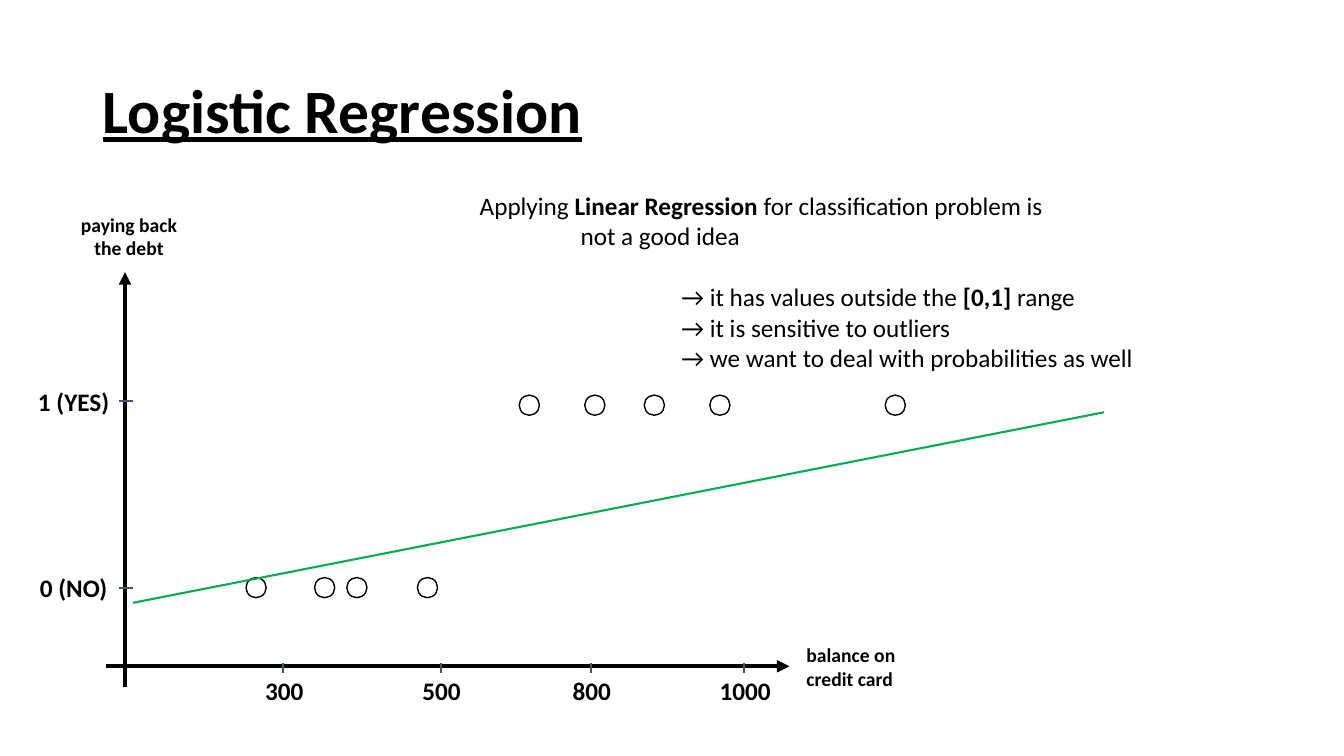
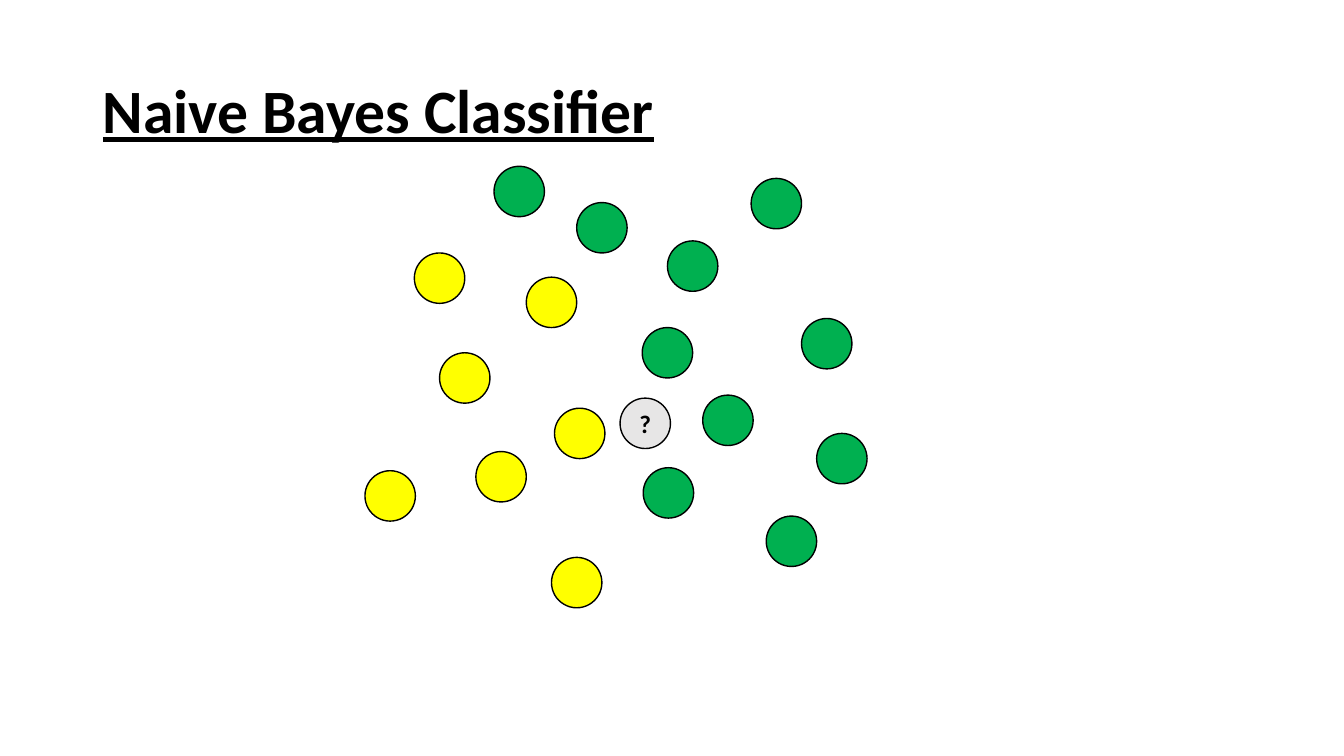
from lxml.etree import SubElement
from pptx import Presentation
from pptx.dml.color import RGBColor
from pptx.enum.shapes import MSO_CONNECTOR, MSO_SHAPE
from pptx.enum.text import MSO_ANCHOR, MSO_AUTO_SIZE, PP_ALIGN
from pptx.oxml.ns import qn
from pptx.util import Inches, Pt

BLACK = RGBColor(0x00, 0x00, 0x00)
WHITE = RGBColor(0xFF, 0xFF, 0xFF)
SLATE = RGBColor(0x44, 0x54, 0x6A)
GREEN = RGBColor(0x00, 0xB0, 0x50)
YELLOW = RGBColor(0xFF, 0xFF, 0x00)
GREY = RGBColor(0xE7, 0xE6, 0xE6)
FONT = "Calibri"


class Deck:
    """Holds the shared style and the slide being filled."""

    def __init__(self):
        self.prs = Presentation()
        self.prs.slide_width = Inches(13.33)
        self.prs.slide_height = Inches(7.5)
        self.slide = None

    @staticmethod
    def style(paragraph, size, bold=None, align=PP_ALIGN.LEFT):
        paragraph.alignment = align
        font = paragraph.font
        font.name, font.size, font.bold = FONT, Pt(size), bold
        font.color.rgb = BLACK

    def new_slide(self, heading):
        self.slide = self.prs.slides.add_slide(self.prs.slide_layouts[5])
        title = self.slide.shapes.title
        title.left, title.top = Inches(0.92), Inches(0.4)
        title.width, title.height = Inches(11.5), Inches(1.45)
        frame = title.text_frame
        frame.text = heading
        frame.auto_size = MSO_AUTO_SIZE.NONE
        frame.vertical_anchor = MSO_ANCHOR.MIDDLE
        paragraph = frame.paragraphs[0]
        self.style(paragraph, 44, bold=True)
        paragraph.font.underline = True
        paragraph.line_spacing = 0.9

    def circle(self, left, top, diameter, fill, label=None):
        circle = self.slide.shapes.add_shape(
            MSO_SHAPE.OVAL, Inches(left), Inches(top), Inches(diameter), Inches(diameter))
        circle.shadow.inherit = False
        circle.fill.solid()
        circle.fill.fore_color.rgb = fill
        circle.line.color.rgb = BLACK
        circle.line.width = Pt(1)
        if label:
            frame = circle.text_frame
            frame.text = label
            frame.vertical_anchor = MSO_ANCHOR.MIDDLE
            self.style(frame.paragraphs[0], 18, bold=True, align=PP_ALIGN.CENTER)

    def line(self, start, end, color, width=1.5, arrow=False):
        line = self.slide.shapes.add_connector(
            MSO_CONNECTOR.STRAIGHT, *(Inches(value) for value in (*start, *end)))
        line.line.color.rgb = color
        line.line.width = Pt(width)
        if arrow:
            SubElement(line.line._get_or_add_ln(), qn("a:tailEnd"), type="triangle")
        SubElement(line._element.spPr, qn("a:effectLst"))

    def text_frame(self, left, top, width, height):
        box = self.slide.shapes.add_textbox(
            Inches(left), Inches(top), Inches(width), Inches(height))
        box.text_frame.word_wrap = True
        return box.text_frame

    def label(self, text, left, top, width, height=0.4, size=18, align=PP_ALIGN.CENTER):
        frame = self.text_frame(left, top, width, height)
        frame.text = text
        for paragraph in frame.paragraphs:
            self.style(paragraph, size, bold=True, align=align)

    def note(self, lines, left, top, width, height):
        """Write (indent, space before, text) lines; text between asterisks is bold."""
        frame = self.text_frame(left, top, width, height)
        for number, (indent, space, text) in enumerate(lines):
            paragraph = frame.add_paragraph() if number else frame.paragraphs[0]
            self.style(paragraph, 18)
            paragraph.space_before = Pt(space)
            paragraph._p.get_or_add_pPr().set("marL", str(Inches(indent)))
            for position, piece in enumerate(text.split("*")):
                run = paragraph.add_run()
                run.text = piece
                if position % 2:
                    run.font.bold = True


def logistic_regression(deck):
    deck.new_slide("Logistic Regression")
    axis_x, axis_y = 1.24, 6.61
    deck.line((axis_x, 6.82), (axis_x, 2.7), BLACK, 3, arrow=True)
    deck.line((1.05, axis_y), (7.83, axis_y), BLACK, 3, arrow=True)

    paid, unpaid = (5.15, 5.8, 6.39, 7.04, 8.78), (2.44, 3.12, 3.44, 4.14)
    for top, balances in ((3.92, paid), (5.73, unpaid)):
        for left in balances:
            deck.circle(left, top, 0.2, WHITE)

    for balance, x in (("300", 2.81), ("500", 4.37), ("800", 5.86), ("1000", 7.38)):
        deck.line((x, axis_y - 0.03), (x, axis_y + 0.07), SLATE)
        deck.label(balance, x - 0.39, 6.65, 0.8)
    for outcome, y in (("1 (YES)", 3.98), ("0 (NO)", 5.83)):
        deck.line((axis_x - 0.06, y), (axis_x + 0.08, y), SLATE)
        deck.label(outcome, 0.22, y - 0.2, 1.02)

    deck.label("balance on\ncredit card", 7.9, 6.33, 1.2, 0.57, size=14, align=PP_ALIGN.LEFT)
    deck.label("paying back\nthe debt", 0.68, 2.06, 1.2, 0.57, size=14)
    deck.line((1.32, 5.98), (10.95, 4.09), GREEN)
    deck.note([
        (0, 0, "Applying *Linear Regression* for classification problem is"),
        (1, 0, "not a good idea"),
        (2, 22, "→ it has values outside the *[0,1]* range"),
        (2, 0, "→ it is sensitive to outliers"),
        (2, 0, "→ we want to deal with probabilities as well"),
    ], 4.66, 1.84, 6.9, 1.92)


def naive_bayes(deck):
    deck.new_slide("Naive Bayes Classifier")
    classes = {
        GREEN: [(4.9, 1.65), (5.72, 2.01), (6.37, 3.25), (6.97, 3.92), (7.45, 1.77),
                (6.62, 2.39), (7.95, 3.16), (8.1, 4.3), (7.6, 5.12), (6.38, 4.64)],
        YELLOW: [(5.22, 2.75), (4.11, 2.51), (4.36, 3.5), (3.62, 4.67), (4.72, 4.48),
                 (5.47, 5.53), (5.5, 4.05)],
    }
    for color, members in classes.items():
        for left, top in members:
            deck.circle(left, top, 0.5, color)
    deck.circle(6.15, 3.95, 0.5, GREY, label="?")


def main():
    deck = Deck()
    logistic_regression(deck)
    naive_bayes(deck)
    deck.prs.save("out.pptx")


if __name__ == "__main__":
    main()
